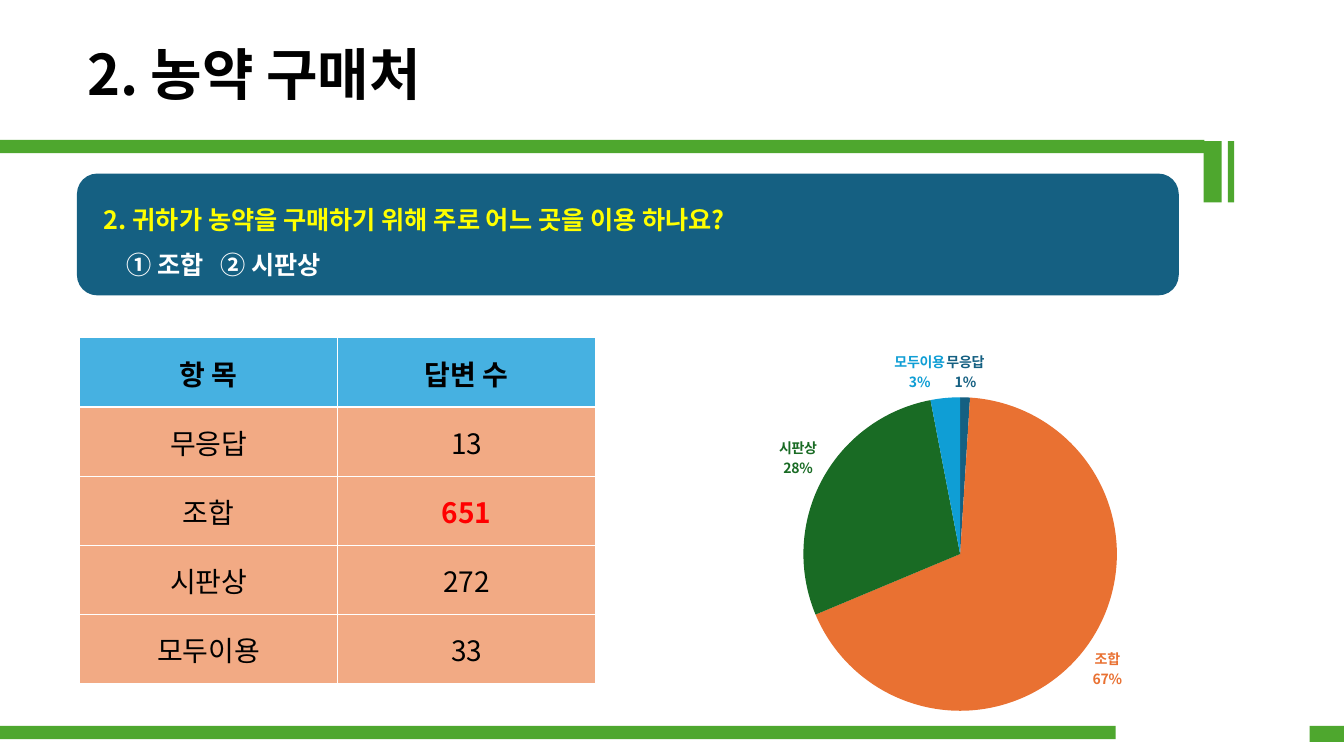
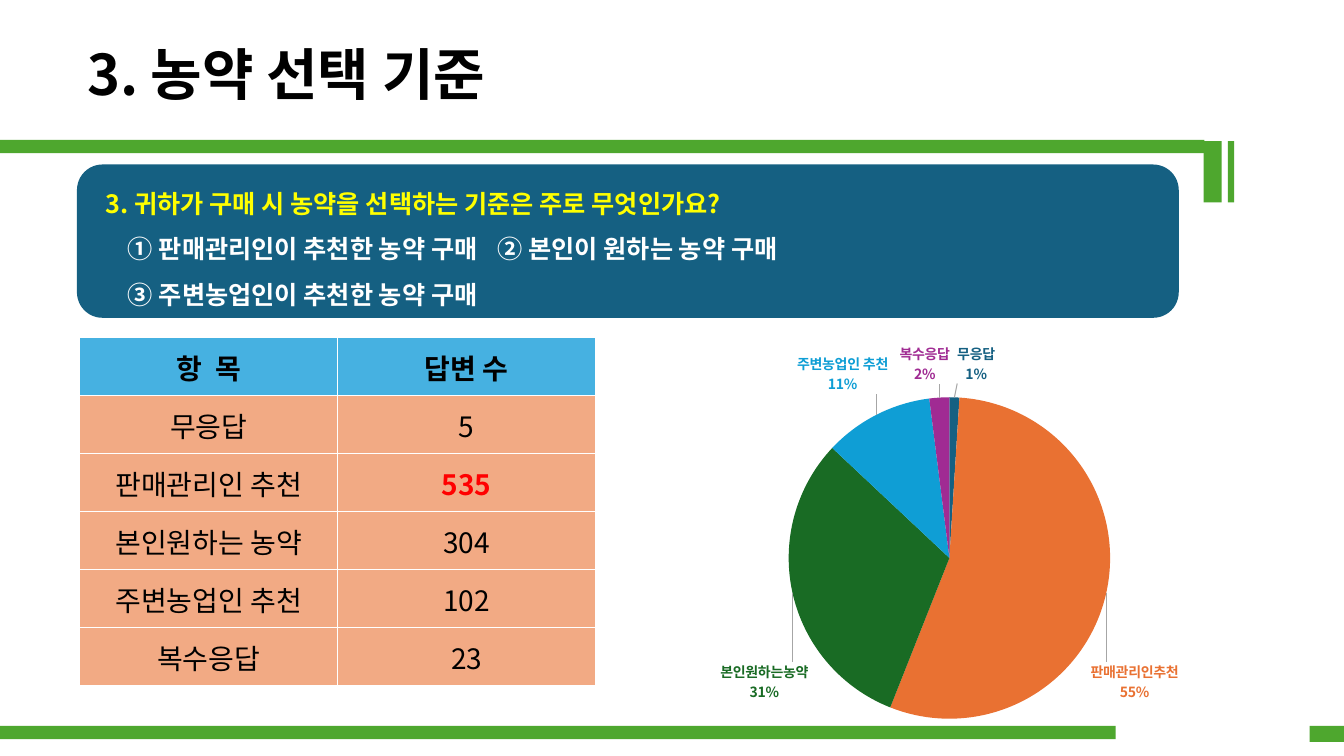
from dataclasses import dataclass

from pptx import Presentation
from pptx.chart.data import CategoryChartData
from pptx.dml.color import RGBColor
from pptx.enum.chart import XL_CHART_TYPE
from pptx.enum.shapes import MSO_SHAPE
from pptx.enum.text import MSO_ANCHOR, PP_ALIGN
from pptx.oxml import parse_xml
from pptx.oxml.ns import nsdecls
from pptx.util import Pt

PIE = XL_CHART_TYPE.PIE
RECT, ROUNDED = MSO_SHAPE.RECTANGLE, MSO_SHAPE.ROUNDED_RECTANGLE
TOP, MIDDLE = MSO_ANCHOR.TOP, MSO_ANCHOR.MIDDLE
LEFT, CENTER = PP_ALIGN.LEFT, PP_ALIGN.CENTER

FONT = "Noto Sans CJK KR"
BLACK = RGBColor(0x00, 0x00, 0x00)
WHITE = RGBColor(0xFF, 0xFF, 0xFF)
YELLOW = RGBColor(0xFF, 0xFF, 0x00)
RED = RGBColor(0xFF, 0x00, 0x00)
GREEN = RGBColor(0x4E, 0xA7, 0x2E)
NAVY = RGBColor(0x15, 0x60, 0x82)
HEADER_BLUE = RGBColor(0x46, 0xB1, 0xE1)
PEACH = RGBColor(0xF2, 0xAA, 0x84)
LEADER_GREY = RGBColor(0xA6, 0xA6, 0xA6)
SLICE_COLORS = [
    NAVY,
    RGBColor(0xE9, 0x71, 0x32),
    RGBColor(0x19, 0x6B, 0x24),
    RGBColor(0x0F, 0x9E, 0xD5),
    RGBColor(0xA0, 0x2B, 0x93),
]


@dataclass(frozen=True)
class Box:
    left: float
    top: float
    width: float
    height: float

    def lengths(self) -> tuple[Pt, Pt, Pt, Pt]:
        return Pt(self.left), Pt(self.top), Pt(self.width), Pt(self.height)


@dataclass(frozen=True)
class Slice:
    name: str
    percent: int
    shift: tuple[float, float] = (0, 0)  # label offset, as a share of the chart


@dataclass(frozen=True)
class Survey:
    title: str
    title_width: float
    question: str
    options: list[str]
    option_tab: float
    question_box: Box
    header: tuple[str, str]
    answers: list[tuple[str, int]]
    row_height: float
    slices: list[Slice]
    pie: Box  # shares of the chart frame
    leaders: bool


TITLE_LEFT, TITLE_TOP, TITLE_HEIGHT = 55, 24.5, 55.5
TABLE_LEFT, TABLE_TOP, TABLE_WIDTH = 57, 241.3, 368.5
CHART = Box(425.5, 241.3, 510.5, 283.5)
BANDS = [
    Box(0, 518.5, 797, 9.4),
    Box(935.5, 518.5, 24.5, 11.5),
    Box(-0.7, 100, 861, 9.4),
    Box(859.7, 100.8, 13, 43.8),
    Box(877, 100.8, 4.5, 43.8),
]

SURVEYS = [
    Survey(
        title="2. 농약 구매처",
        title_width=278.5,
        question="2. 귀하가 농약을 구매하기 위해 주로 어느 곳을 이용 하나요?",
        options=["① 조합\t② 시판상"],
        option_tab=67,
        question_box=Box(55, 124, 787, 87),
        header=("항 목", "답변 수"),
        answers=[("무응답", 13), ("조합", 651), ("시판상", 272), ("모두이용", 33)],
        row_height=49.4,
        slices=[
            Slice("무응답", 1),
            Slice("조합", 67),
            Slice("시판상", 28),
            Slice("모두이용", 3),
        ],
        pie=Box(0.29, 0.15, 0.44, 0.79),
        leaders=False,
    ),
    Survey(
        title="3. 농약 선택 기준",
        title_width=333.5,
        question="3. 귀하가 구매 시 농약을 선택하는 기준은 주로 무엇인가요?",
        options=[
            "① 판매관리인이 추천한 농약 구매\t② 본인이 원하는 농약 구매",
            "③ 주변농업인이 추천한 농약 구매",
        ],
        option_tab=264,
        question_box=Box(55, 117.5, 787, 109.5),
        header=("항  목", "답변 수"),
        answers=[
            ("무응답", 5),
            ("판매관리인 추천", 535),
            ("본인원하는 농약", 304),
            ("주변농업인 추천", 102),
            ("복수응답", 23),
        ],
        row_height=41.4,
        slices=[
            Slice("무응답", 1, (0.03, -0.02)),
            Slice("판매관리인추천", 55, (-0.03, 0.17)),
            Slice("본인원하는농약", 31, (0.03, 0.17)),
            Slice("주변농업인 추천", 11, (0.02, -0.04)),
            Slice("복수응답", 2, (-0.02, -0.02)),
        ],
        pie=Box(0.27, 0.15, 0.45, 0.81),
        leaders=True,
    ),
]


def style_paragraph(p, size: float, color: RGBColor, bold: bool, align=LEFT) -> None:
    """Format every run, for Latin and Korean letters alike."""
    p.alignment = align
    for r in p.runs:
        r.font.size, r.font.bold, r.font.name = Pt(size), bold, FONT
        r.font.color.rgb = color
        r.font._element.find("{*}latin").addnext(
            parse_xml(f'<a:ea {nsdecls("a")} typeface="{FONT}"/>'))


def add_block(s, box: Box, fill: RGBColor, kind=RECT):
    sp = s.shapes.add_shape(kind, *box.lengths())
    sp.shadow.inherit = False
    sp.fill.solid()
    sp.fill.fore_color.rgb = fill
    sp.line.fill.background()
    return sp


def add_title(s, survey: Survey) -> None:
    sp = s.shapes.title
    box = Box(TITLE_LEFT, TITLE_TOP, survey.title_width, TITLE_HEIGHT)
    sp.left, sp.top, sp.width, sp.height = box.lengths()
    tf = sp.text_frame
    tf.text = survey.title
    tf.word_wrap = False
    tf.vertical_anchor = TOP
    style_paragraph(tf.paragraphs[0], 40, BLACK, True)


def add_question(s, survey: Survey) -> None:
    tf = add_block(s, survey.question_box, NAVY, ROUNDED).text_frame
    tf.word_wrap = True
    tf.vertical_anchor = MIDDLE
    tf.text = "\n".join([survey.question, *survey.options])
    for i, p in enumerate(tf.paragraphs):
        p.line_spacing = 1.5
        pPr = p._p.get_or_add_pPr()
        pPr.set("marL", str(Pt(24 if i else 8)))
        if i:
            pPr.append(parse_xml(
                f'<a:tabLst {nsdecls("a")}>'
                f'<a:tab pos="{Pt(survey.option_tab)}" algn="l"/></a:tabLst>'))
        style_paragraph(p, 18, WHITE if i else YELLOW, True)


def fill_cell(cell, text: str, fill: RGBColor, color: RGBColor, bold: bool) -> None:
    cell.text = text
    cell.vertical_anchor = MIDDLE
    cell.margin_left = cell.margin_right = cell.margin_top = Pt(0.7)
    cell.margin_bottom = 0
    tcPr = cell._tc.get_or_add_tcPr()
    for side in "LRTB":
        tcPr.append(parse_xml(
            f'<a:ln{side} {nsdecls("a")} w="{Pt(1)}"><a:solidFill>'
            f'<a:srgbClr val="{WHITE}"/></a:solidFill></a:ln{side}>'))
    cell.fill.solid()
    cell.fill.fore_color.rgb = fill
    style_paragraph(cell.text_frame.paragraphs[0], 20, color, bold, CENTER)


def add_answers(s, survey: Survey) -> None:
    """Add the table of answers, with the highest count in red."""
    rows = len(survey.answers) + 1
    box = Box(TABLE_LEFT, TABLE_TOP, TABLE_WIDTH, survey.row_height * rows)
    table = s.shapes.add_table(rows, 2, *box.lengths()).table
    for col, text in enumerate(survey.header):
        fill_cell(table.cell(0, col), text, HEADER_BLUE, BLACK, True)
    highest = max(count for _, count in survey.answers)
    for row, (name, count) in enumerate(survey.answers, 1):
        top = count == highest
        fill_cell(table.cell(row, 0), name, PEACH, BLACK, False)
        fill_cell(table.cell(row, 1), str(count), PEACH, RED if top else BLACK, top)


def manual_layout(x: float, y: float, extra: str = "", modes: str = "") -> str:
    return (f'<c:layout {nsdecls("c")}><c:manualLayout>{modes}'
            f'<c:x val="{x}"/><c:y val="{y}"/>{extra}</c:manualLayout></c:layout>')


def slice_labels(slices: list[Slice], leaders: bool):
    """Build labels of name over percentage, each in its slice's colour."""
    shown = ('<c:dLblPos val="outEnd"/><c:showLegendKey val="0"/><c:showVal val="1"/>'
             '<c:showCatName val="1"/><c:showSerName val="0"/><c:showPercent val="0"/>'
             '<c:showBubbleSize val="0"/><c:separator>\n</c:separator>')
    number = '<c:numFmt formatCode="0&quot;%&quot;" sourceLinked="0"/>'
    labels = ""
    for i, (part, color) in enumerate(zip(slices, SLICE_COLORS)):
        layout = manual_layout(*part.shift) if any(part.shift) else ""
        labels += (
            f'<c:dLbl><c:idx val="{i}"/>{layout}{number}<c:spPr><a:noFill/></c:spPr>'
            '<c:txPr><a:bodyPr/><a:p><a:pPr><a:defRPr sz="1000" b="1"><a:solidFill>'
            f'<a:srgbClr val="{color}"/></a:solidFill><a:latin typeface="{FONT}"/>'
            f'<a:ea typeface="{FONT}"/></a:defRPr></a:pPr></a:p></c:txPr>{shown}</c:dLbl>')
    lines = f'<c:showLeaderLines val="{int(leaders)}"/>'
    if leaders:
        lines += (f'<c:leaderLines><c:spPr><a:ln w="{Pt(0.75)}"><a:solidFill><a:srgbClr '
                  f'val="{LEADER_GREY}"/></a:solidFill></a:ln></c:spPr></c:leaderLines>')
    return parse_xml(f'<c:dLbls {nsdecls("c", "a")}>{labels}{number}{shown}{lines}</c:dLbls>')


def add_pie(s, survey: Survey) -> None:
    data = CategoryChartData()
    data.categories = [part.name for part in survey.slices]
    data.add_series("Series 1", [part.percent for part in survey.slices])
    chart = s.shapes.add_chart(PIE, *CHART.lengths(), data).chart
    chart.has_legend = chart.has_title = False
    chart.font.name, chart.font.size = FONT, Pt(10)
    chart.font.color.rgb = BLACK
    plot = chart.plots[0]
    plot.vary_by_categories = True
    series = plot.series[0]
    for i, color in enumerate(SLICE_COLORS[:len(survey.slices)]):
        fill = series.points[i].format.fill
        fill.solid()
        fill.fore_color.rgb = color
    series._element.find("{*}cat").addprevious(slice_labels(survey.slices, survey.leaders))
    area = chart._chartSpace.find(".//{*}plotArea")
    for old in area.findall("{*}layout"):
        area.remove(old)
    pie = survey.pie
    area.insert(0, parse_xml(manual_layout(
        pie.left, pie.top,
        f'<c:w val="{pie.width}"/><c:h val="{pie.height}"/>',
        '<c:layoutTarget val="inner"/><c:xMode val="edge"/><c:yMode val="edge"/>')))


def main() -> None:
    prs = Presentation()
    prs.slide_width, prs.slide_height = Pt(960), Pt(540)
    title_only = prs.slide_layouts[5]
    for survey in SURVEYS:
        s = prs.slides.add_slide(title_only)
        add_title(s, survey)
        add_question(s, survey)
        add_answers(s, survey)
        add_pie(s, survey)
        for band in BANDS:
            add_block(s, band, GREEN)
    prs.save("out.pptx")


if __name__ == "__main__":
    main()
